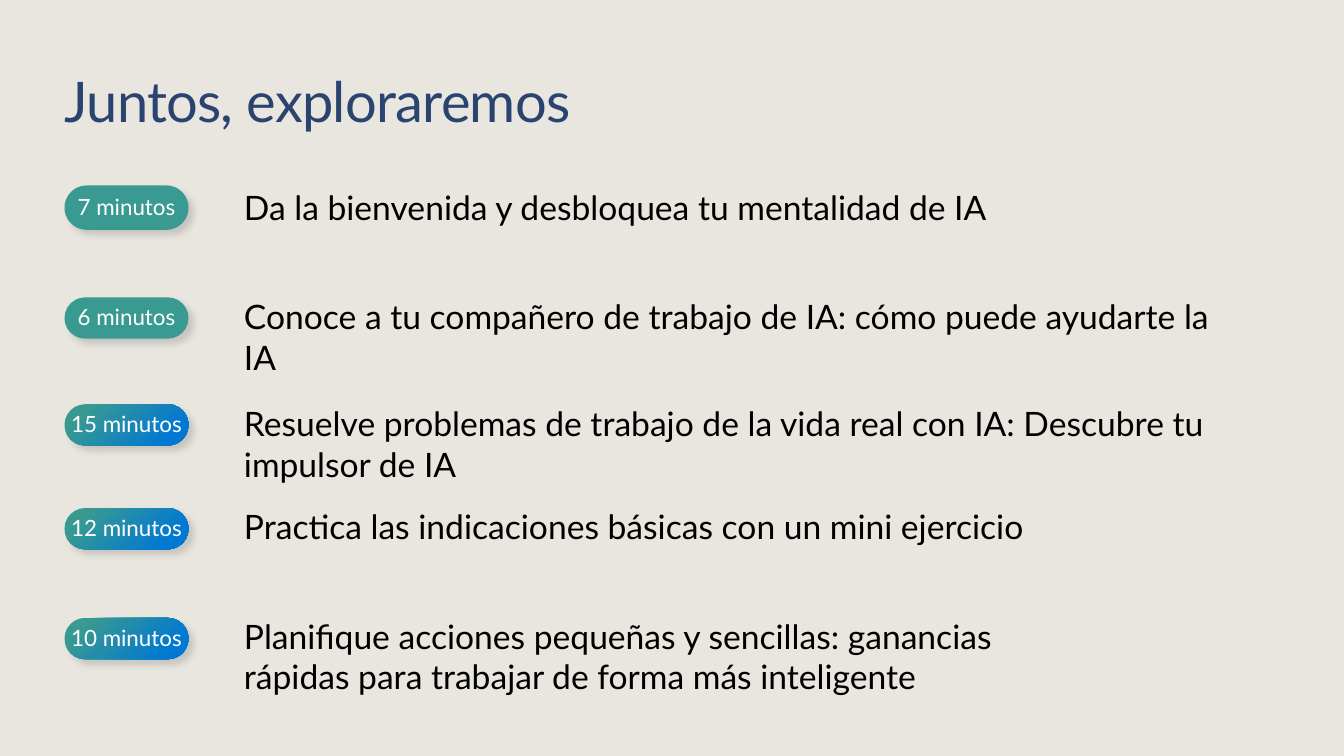
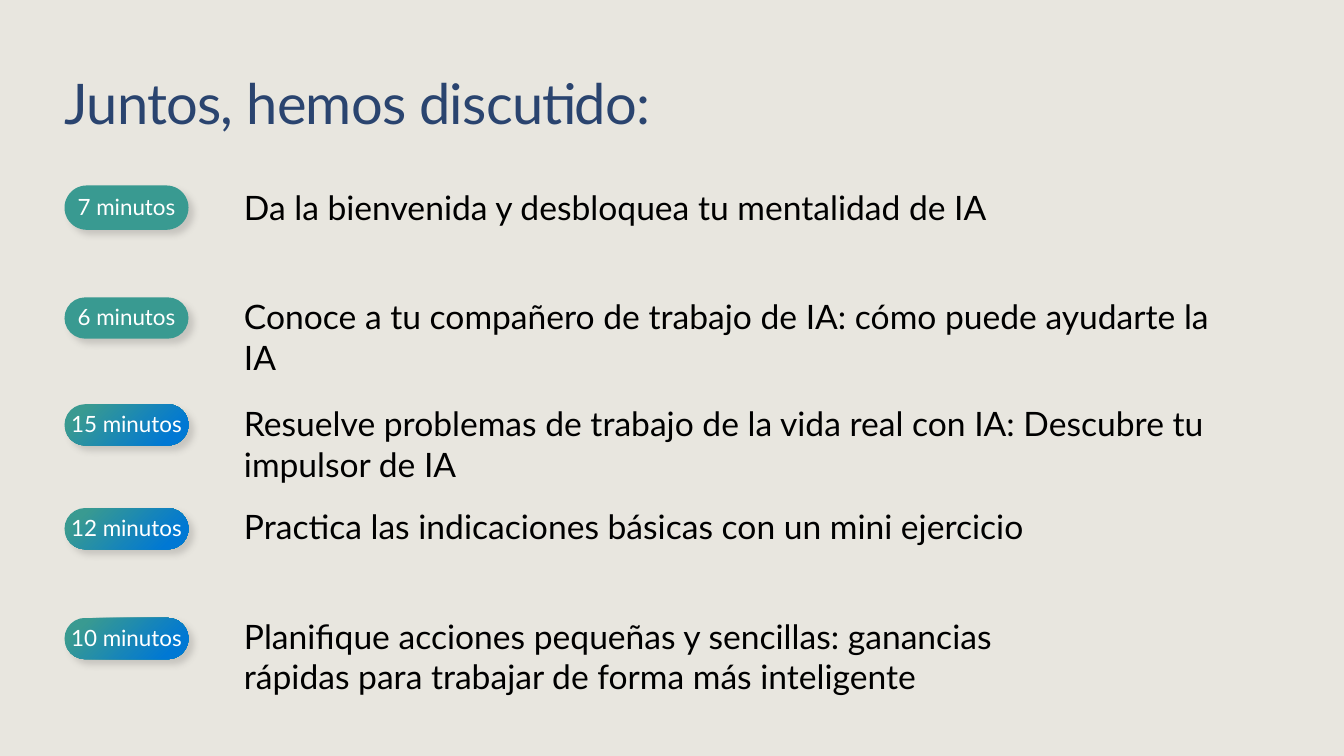
from lxml import etree
from pptx import Presentation
from pptx.dml.color import RGBColor
from pptx.enum.shapes import MSO_SHAPE
from pptx.enum.text import MSO_ANCHOR, MSO_AUTO_SIZE, PP_ALIGN
from pptx.oxml import parse_xml
from pptx.oxml.ns import nsdecls, qn
from pptx.util import Inches, Pt

COLORS = {
    "background": "E8E6DF",
    "title": "2A446F",
    "text": "000000",
    "pill": "399A91",
    "pill_glow": "0078D4",
    "pill_text": "FFFFFF",
    "shadow": "454142",
}
FONT = "Lato"
LEFT = 0.64
TITLE_WIDTH, TITLE_HEIGHT = 12.05, 0.61
PILL_WIDTH = 1.23
TEXT_LEFT = 2.42

# pill top, pill height, text top, text width, text height, glowing pill, duration, topic
AGENDA = [
    (1.84, 0.44, 1.85, 9.86, 0.4, False, "7 minutos",
     "Da la bienvenida y desbloquea tu mentalidad de IA"),
    (2.95, 0.41, 2.94, 9.86, 0.4, False, "6 minutos",
     "Conoce a tu compañero de trabajo de IA: cómo puede ayudarte la IA"),
    (4.01, 0.41, 4.0, 9.86, 0.4, True, "15 minutos",
     "Resuelve problemas de trabajo de la vida real con IA: "
     "Descubre tu impulsor de IA"),
    (5.04, 0.41, 5.02, 9.86, 0.4, True, "12 minutos",
     "Practica las indicaciones básicas con un mini ejercicio"),
    (6.13, 0.41, 6.11, 7.7, 0.81, True, "10 minutos",
     "Planifique acciones pequeñas y sencillas: ganancias rápidas "
     "para trabajar de forma más inteligente"),
]


def rgb(name):
    return RGBColor.from_string(COLORS[name])


def write(shape, text, size, color, anchor, align=PP_ALIGN.LEFT, bottom=0):
    frame = shape.text_frame
    frame.word_wrap = True
    frame.auto_size = MSO_AUTO_SIZE.NONE
    frame.vertical_anchor = anchor
    frame.margin_left = frame.margin_top = frame.margin_right = 0
    frame.margin_bottom = Inches(bottom)
    para = frame.paragraphs[0]
    para.text = text
    para.alignment = align
    para.font.name = FONT
    para.font.size = Pt(size)
    para.font.color.rgb = rgb(color)
    return para


def add_title(page, text, top):
    title = page.shapes.title
    title.left, title.top = Inches(LEFT), Inches(top)
    title.width, title.height = Inches(TITLE_WIDTH), Inches(TITLE_HEIGHT)
    para = write(title, text, 40, "title", MSO_ANCHOR.BOTTOM)
    para.line_spacing = 0.9
    para.runs[0].font._element.set("spc", "-50")


def add_glow(shape):
    """Replace the solid fill by a radial one centred on the lower right corner."""
    properties = shape._element.spPr
    gradient = parse_xml(
        f'<a:gradFill {nsdecls("a")} rotWithShape="1"><a:gsLst>'
        f'<a:gs pos="15000"><a:srgbClr val="{COLORS["pill_glow"]}"/></a:gs>'
        f'<a:gs pos="85000"><a:srgbClr val="{COLORS["pill"]}"/></a:gs></a:gsLst>'
        '<a:path path="circle"><a:fillToRect l="100000" t="100000"/></a:path>'
        '</a:gradFill>')
    properties.replace(properties.find(qn("a:solidFill")), gradient)


def add_shadow(shape):
    shape.shadow.inherit = False
    effects = shape._element.spPr.find(qn("a:effectLst"))
    shadow = etree.SubElement(
        effects, qn("a:outerShdw"), blurRad=str(Pt(5)), dist=str(Pt(5)),
        dir="2700000", algn="tl", rotWithShape="0")
    color = etree.SubElement(shadow, qn("a:srgbClr"), val=COLORS["shadow"])
    etree.SubElement(color, qn("a:alpha"), val="20000")


def add_pill(page, left, top, width, height, text, glowing):
    pill = page.shapes.add_shape(
        MSO_SHAPE.ROUNDED_RECTANGLE,
        Inches(left), Inches(top), Inches(width), Inches(height))
    pill.adjustments[0] = 0.5
    pill.fill.solid()
    pill.fill.fore_color.rgb = rgb("pill")
    pill.line.fill.background()
    add_shadow(pill)
    if glowing:
        add_glow(pill)
    write(pill, text, 16, "pill_text", MSO_ANCHOR.MIDDLE, PP_ALIGN.CENTER, 0.02)


def add_topic(page, left, top, width, height, text):
    box = page.shapes.add_textbox(
        Inches(left), Inches(top), Inches(width), Inches(height))
    write(box, text, 24, "text", MSO_ANCHOR.TOP)


def add_agenda_slide(deck, title, title_top):
    page = deck.slides.add_slide(deck.slide_layouts.get_by_name("Title Only"))
    add_title(page, title, title_top)
    for (pill_top, pill_height, text_top, text_width, text_height,
         glowing, duration, topic) in AGENDA:
        add_pill(page, LEFT, pill_top, PILL_WIDTH, pill_height, duration, glowing)
        add_topic(page, TEXT_LEFT, text_top, text_width, text_height, topic)


def main():
    deck = Presentation()
    deck.slide_width, deck.slide_height = Inches(13.33), Inches(7.5)
    backdrop = deck.slide_master.background.fill
    backdrop.solid()
    backdrop.fore_color.rgb = rgb("background")
    add_agenda_slide(deck, "Juntos, exploraremos", 0.73)
    add_agenda_slide(deck, "Juntos, hemos discutido:", 0.75)
    deck.save("out.pptx")


if __name__ == "__main__":
    main()
